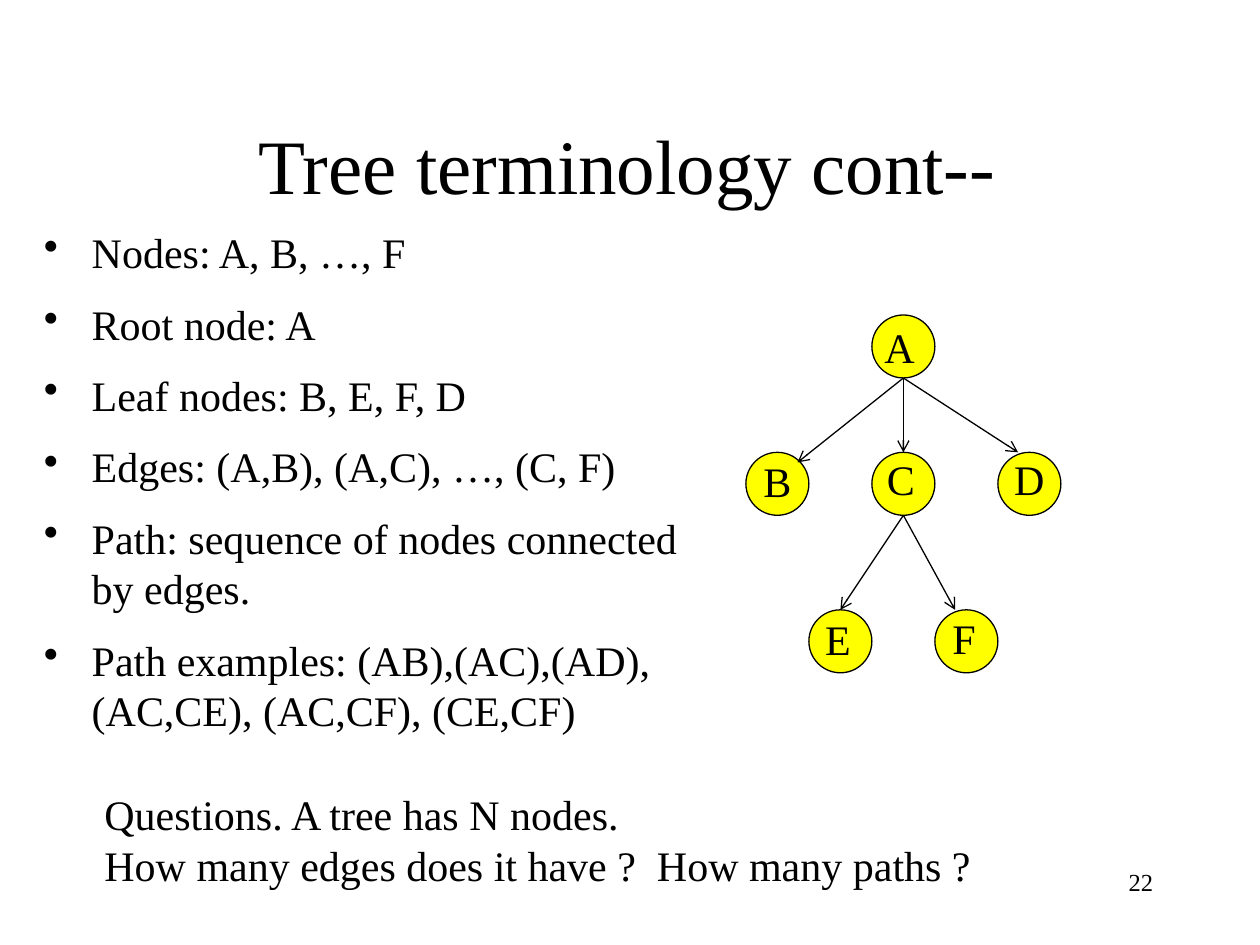
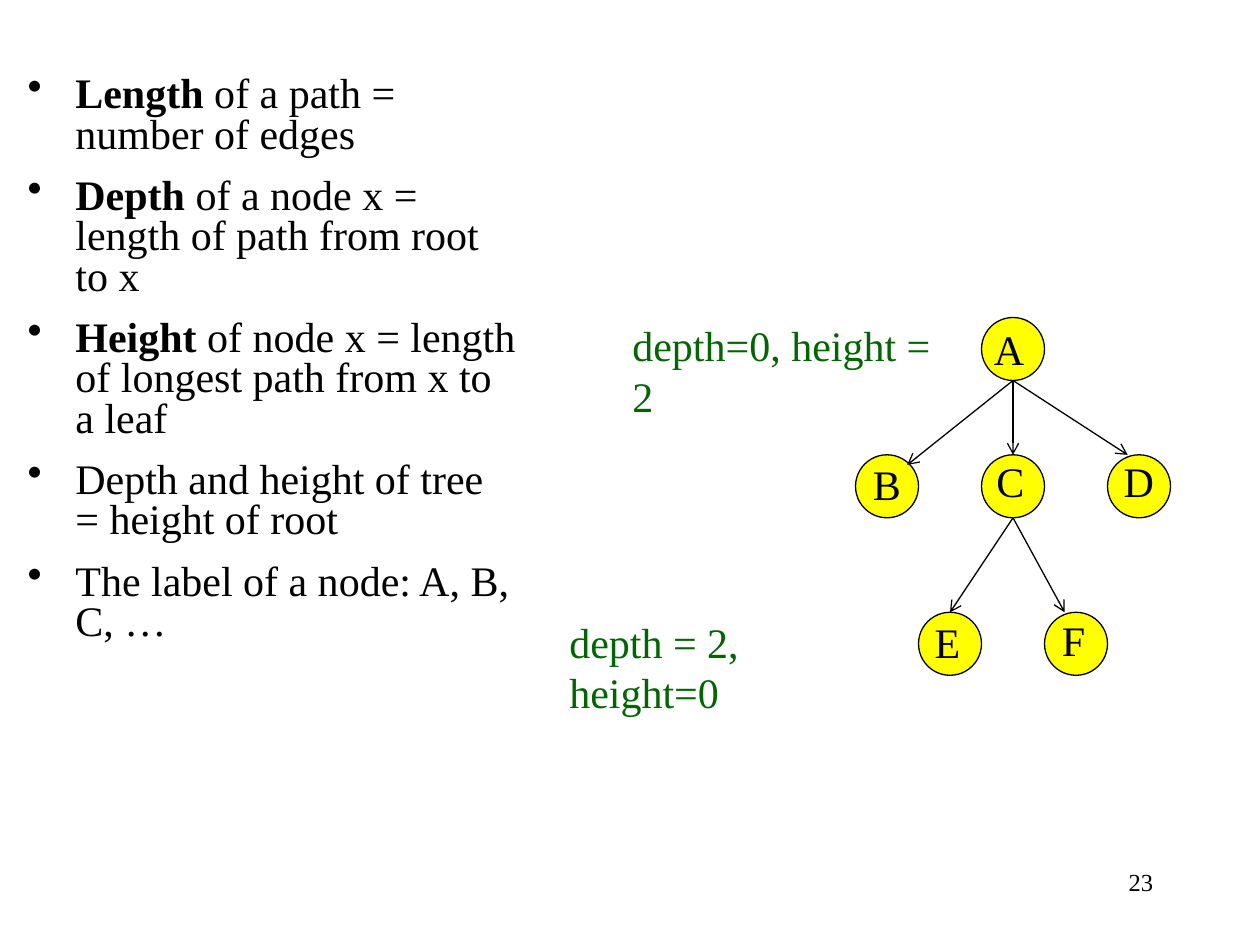
from pptx import Presentation
from pptx.util import Inches, Pt
from pptx.dml.color import RGBColor
from pptx.enum.shapes import MSO_SHAPE as SHAPE, MSO_CONNECTOR as CONN
from pptx.enum.text import PP_ALIGN as ALIGN, MSO_ANCHOR as ANCHOR
from pptx.oxml.ns import qn
from lxml.etree import SubElement

TERMS = [
    ("", "Nodes: A, B, …, F"),
    ("", "Root node: A"),
    ("", "Leaf nodes: B, E, F, D"),
    ("", "Edges: (A,B), (A,C), …, (C, F)"),
    ("", "Path: sequence of nodes connected by edges."),
    ("", "Path examples: (AB),(AC),(AD), (AC,CE), (AC,CF), (CE,CF)"),
]
MEASURES = [
    ("Length", " of a path = number of edges"),
    ("Depth", " of a node x = length of path from root to x"),
    ("Height", " of node x = length of longest path from x to a leaf"),
    ("", "Depth and height of tree = height of root"),
    ("", "The label of a node: A, B, C, …"),
]
QUESTIONS = "Questions. A tree has N nodes.\vHow many edges does it have ?  How many paths ?"

# name: (column, level, label shift)
NODES = {
    "A": (0, 0, (0, 0)),
    "B": (-2, 1, (0.04, -0.02)),
    "C": (0, 1, (0.02, -0.04)),
    "D": (2, 1, (0.03, -0.04)),
    "E": (-1, 2, (0.03, -0.02)),
    "F": (1, 2, (0.04, -0.03)),
}
# parent, child, arrow tip inside the child's square
EDGES = [
    ("A", "B", (0.41, 0.08)),
    ("A", "C", (0.25, 0)),
    ("C", "E", (0.25, 0)),
    ("C", "F", (0.16, 0)),
    ("A", "D", (0.16, 0)),
]
LEVELS = (0, 1.09, 2.34)
SIZE = 0.5
FONT = "Times New Roman"
BLACK, YELLOW, GREEN = "000000", "FFFF00", "006600"


def color(value):
    return RGBColor.from_string(value)


def style(p, size=24, fill=BLACK):
    for r in p.runs:
        r.font.name, r.font.size = FONT, Pt(size)
        r.font.color.rgb = color(fill)


def add_text(s, box, text="", size=24, fill=BLACK, align=ALIGN.LEFT, anchor=ANCHOR.TOP, wrap=True):
    sp = s.shapes.add_textbox(*map(Inches, box))
    tf = sp.text_frame
    tf.word_wrap, tf.vertical_anchor = wrap, anchor
    tf.text = text
    tf.paragraphs[0].alignment = align
    style(tf.paragraphs[0], size, fill)
    return tf


def add_bullets(s, box, items, spacing=1.0):
    tf = add_text(s, box)
    for i, (term, rest) in enumerate(items):
        p = tf.add_paragraph() if i else tf.paragraphs[0]
        p.line_spacing = spacing
        if i:
            p.space_before = Pt(12)
        pPr = p._p.get_or_add_pPr()
        pPr.set("marL", str(Inches(0.38)))
        pPr.set("indent", str(-Inches(0.38)))
        SubElement(pPr, qn("a:buChar")).set("char", "•")
        p.text = term or rest
        if term:
            p.runs[0].font.bold = True
            p.add_run().text = rest
        style(p)


def add_arrow(s, start, end):
    cn = s.shapes.add_connector(CONN.STRAIGHT, *map(Inches, (*start, *end)))
    cn.line.color.rgb, cn.line.width = color(BLACK), Pt(0.75)
    SubElement(cn.line._get_or_add_ln(), qn("a:tailEnd")).set("type", "arrow")
    SubElement(cn._element.spPr, qn("a:effectLst"))


def add_tree(s, left, top):
    spots = {name: (left + col * SIZE, top + LEVELS[level])
             for name, (col, level, _) in NODES.items()}
    for x, y in spots.values():
        sp = s.shapes.add_shape(SHAPE.OVAL, *map(Inches, (x, y, SIZE, SIZE)))
        sp.shadow.inherit = False
        sp.fill.solid()
        sp.fill.fore_color.rgb = color(YELLOW)
        sp.line.color.rgb, sp.line.width = color(BLACK), Pt(0.75)
    for parent, child, (tip_x, tip_y) in EDGES:
        (px, py), (cx, cy) = spots[parent], spots[child]
        add_arrow(s, (px + SIZE / 2, py + SIZE), (cx + tip_x, cy + tip_y))
    for name, (x, y) in spots.items():
        dx, dy = NODES[name][2]
        add_text(s, (x + dx, y + dy, 0.44, SIZE), name).margin_right = 0


def add_slide(prs, number):
    s = prs.slides.add_slide(prs.slide_layouts[6])
    add_text(s, (7.17, 6.83, 2.08, 0.5), str(number), 14, align=ALIGN.RIGHT)
    return s


def main():
    prs = Presentation()
    prs.slide_width, prs.slide_height = Inches(10), Inches(7.5)

    s = add_slide(prs, 22)
    add_text(s, (0.73, 0.67, 8.5, 1.25), "Tree terminology cont--", 44,
             align=ALIGN.CENTER, anchor=ANCHOR.MIDDLE)
    add_bullets(s, (0.25, 1.75, 5.33, 4.25), TERMS)
    add_tree(s, 6.92, 2.5)
    add_text(s, (0.73, 6.21, 7.08, 0.9), QUESTIONS, wrap=False)

    s = add_slide(prs, 23)
    add_bullets(s, (0.12, 0.56, 4.08, 4.92), MEASURES, 0.8)
    add_tree(s, 7.79, 2.52)
    add_text(s, (4.92, 2.49, 2.81, 0.5), "depth=0, height = 2", fill=GREEN, wrap=False)
    add_text(s, (4.42, 4.84, 2.81, 0.5), "depth = 2, height=0", fill=GREEN, wrap=False)

    prs.save("out.pptx")


if __name__ == "__main__":
    main()
